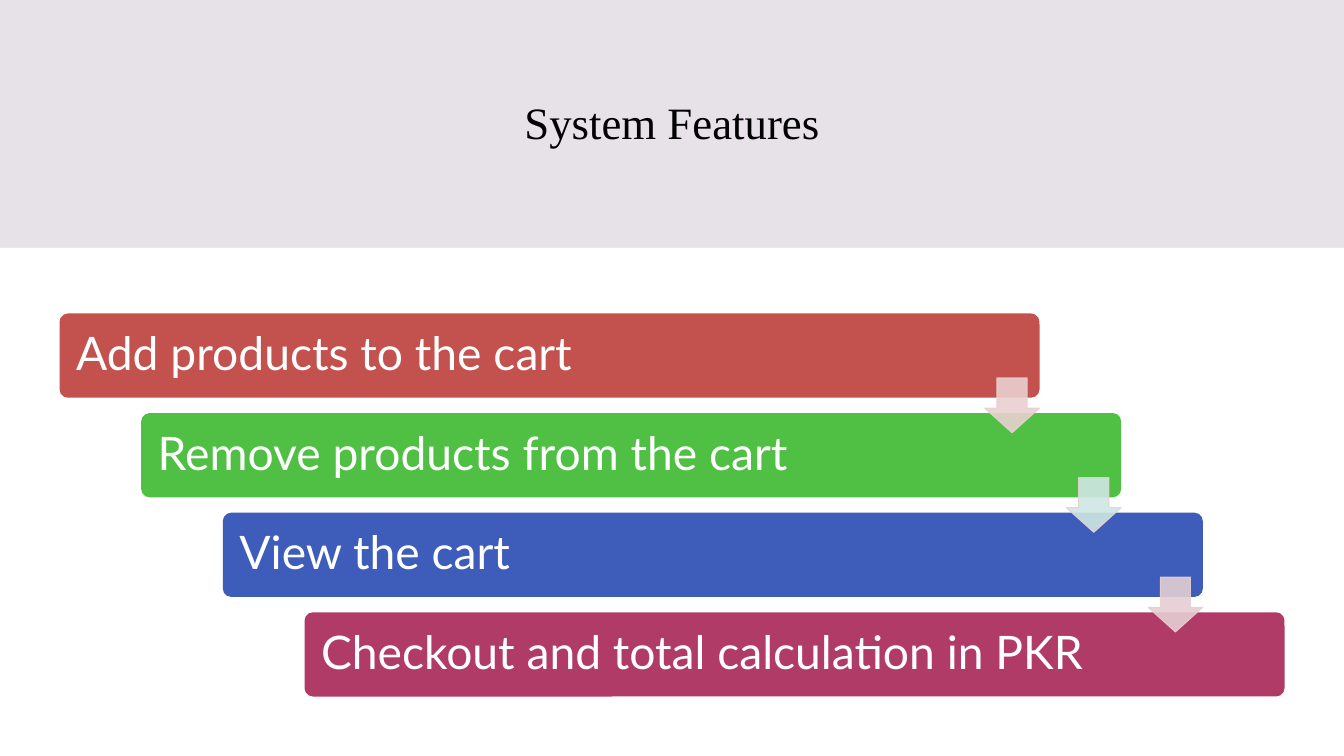
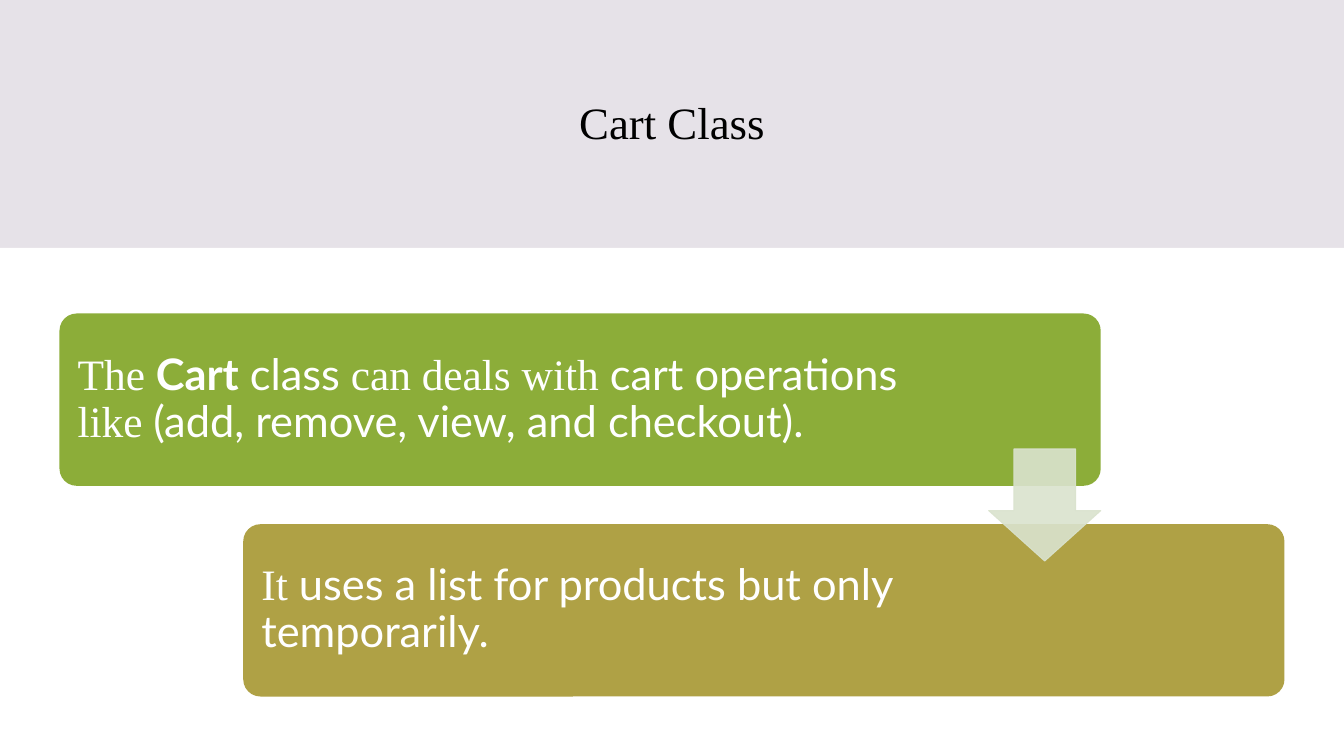
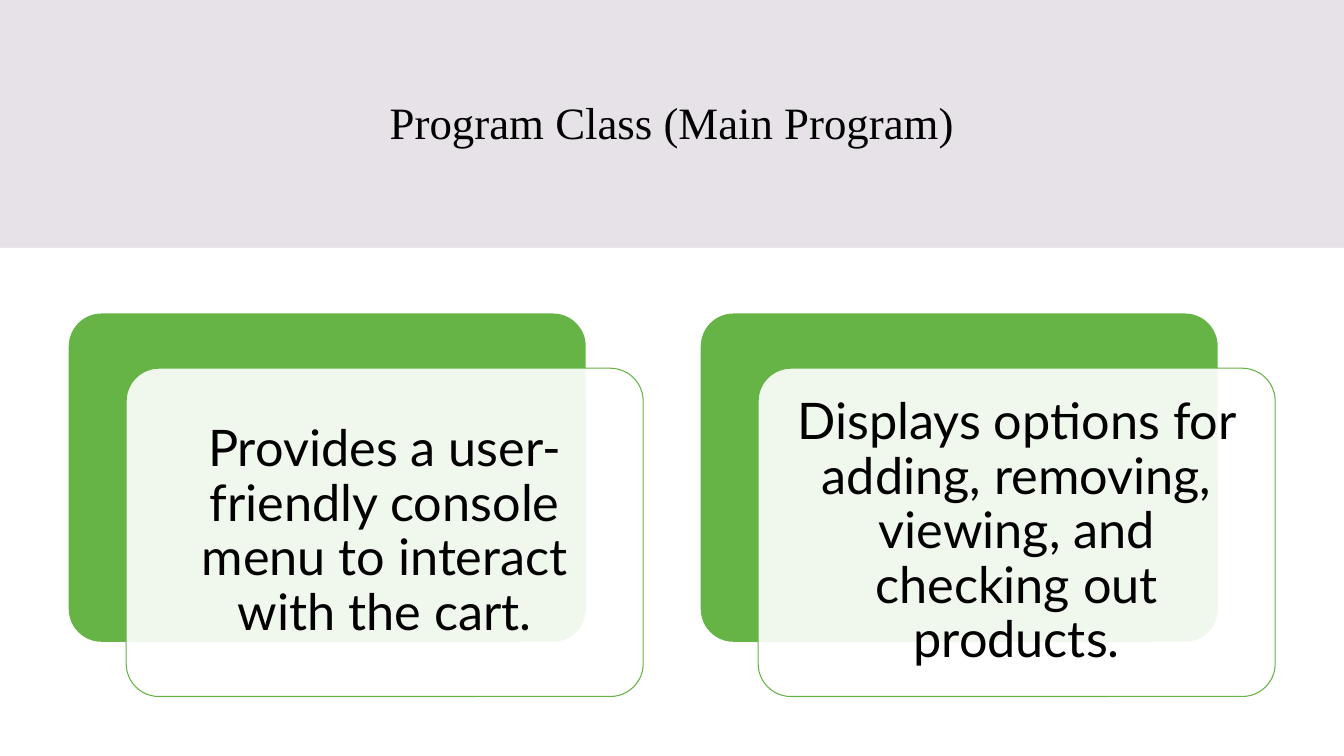
from dataclasses import dataclass

from lxml.etree import SubElement
from pptx import Presentation
from pptx.dml.color import RGBColor
from pptx.enum.shapes import MSO_SHAPE as Preset
from pptx.enum.text import MSO_ANCHOR as Anchor, PP_ALIGN as Align
from pptx.oxml.ns import qn
from pptx.util import Inches, Pt


@dataclass(frozen=True)
class Theme:
    background: str = "E6E2E8"
    panel: str = "FFFFFF"
    dark_text: str = "000000"
    light_text: str = "FFFFFF"
    card: str = "66B346"
    serif: str = "Times New Roman"
    sans: str = "Lato"
    title_size: int = 32
    feature_size: int = 33
    class_size: int = 31
    card_size: int = 36
    line_width: float = 0.75
    line_spacing: float = 0.9
    corner: float = 0.1
    opacity: int = 90


@dataclass(frozen=True)
class Box:
    left: float
    top: float
    width: float
    height: float


@dataclass(frozen=True)
class Step:
    runs: tuple
    fill: str
    text_share: float


THEME = Theme()
SLIDE = Box(0, 0, 13.33, 7.5)
TITLE = Box(1.18, 0.59, 10.97, 1.23)
PANEL = Box(0, 2.46, SLIDE.width, SLIDE.height - 2.46)
DIAGRAM = Box(0.59, 3.11, 12.15, 3.8)


def color(value):
    return RGBColor.from_string(value)


def add_shape(slide, preset, box, fill):
    shape = slide.shapes.add_shape(
        preset, *map(Inches, (box.left, box.top, box.width, box.height)))
    shape.shadow.inherit = False
    shape.fill.solid()
    shape.fill.fore_color.rgb = color(fill)
    shape.line.fill.background()
    return shape


def add_rounded(slide, box, fill):
    shape = add_shape(slide, Preset.ROUNDED_RECTANGLE, box, fill)
    shape.adjustments[0] = THEME.corner
    return shape


def set_outline(shape, line):
    shape.line.color.rgb = color(line)
    shape.line.width = Pt(THEME.line_width)


def make_translucent(shape):
    for tone in shape.element.spPr.iter(qn("a:srgbClr")):
        SubElement(tone, qn("a:alpha")).set("val", str(THEME.opacity * 1000))


def write_text(shape, runs, size, text_color, align, inset, right_inset):
    frame = shape.text_frame
    frame.word_wrap = True
    frame.vertical_anchor = Anchor.MIDDLE
    frame.margin_left = frame.margin_top = frame.margin_bottom = Inches(inset)
    frame.margin_right = Inches(right_inset)
    paragraph = frame.paragraphs[0]
    paragraph.alignment = align
    paragraph.line_spacing = THEME.line_spacing
    paragraph.font.size = Pt(size)
    paragraph.font.color.rgb = color(text_color)
    for text, font, bold in runs:
        run = paragraph.add_run()
        run.text = text
        run.font.name = font
        run.font.bold = bold


def sans(text, bold=False):
    return text, THEME.sans, bold


def serif(text):
    return text, THEME.serif, False


def add_titled_slide(presentation, text):
    slide = presentation.slides.add_slide(presentation.slide_layouts[5])
    title = slide.shapes.title
    title.left, title.top, title.width, title.height = map(
        Inches, (TITLE.left, TITLE.top, TITLE.width, TITLE.height))
    title.text = text
    title.text_frame.vertical_anchor = Anchor.MIDDLE
    paragraph = title.text_frame.paragraphs[0]
    paragraph.alignment = Align.CENTER
    paragraph.font.name = THEME.serif
    paragraph.font.size = Pt(THEME.title_size)
    paragraph.font.color.rgb = color(THEME.dark_text)
    add_shape(slide, Preset.RECTANGLE, PANEL, THEME.panel)
    return slide


def add_staircase(slide, area, steps, arrow_fills, bar_share, size, inset):
    bar_width, bar_height = area.width * bar_share[0], area.height * bar_share[1]
    step_x = (area.width - bar_width) / (len(steps) - 1)
    step_y = (area.height - bar_height) / (len(steps) - 1)
    for index, step in enumerate(steps):
        box = Box(area.left + index * step_x, area.top + index * step_y,
                  bar_width, bar_height)
        bar = add_rounded(slide, box, step.fill)
        write_text(bar, step.runs, size, THEME.light_text, Align.LEFT, inset,
                   inset + bar_width * (1 - step.text_share))

    arrow_size = bar_height * 0.65
    for index, fill in enumerate(arrow_fills):
        right = area.left + index * step_x + bar_width
        middle = area.top + index * step_y + (bar_height + step_y) / 2
        box = Box(right - arrow_size, middle - arrow_size / 2,
                  arrow_size, arrow_size)
        arrow = add_shape(slide, Preset.DOWN_ARROW, box, fill)
        arrow.adjustments[0] = 0.55
        arrow.adjustments[1] = 0.45
        set_outline(arrow, arrow_fills[0])
        make_translucent(arrow)


def add_cards(slide, area, texts):
    column, row = area.width * 0.0469, area.height / 7
    pitch = 11 * column
    start = area.left + (area.width - pitch * len(texts) + column) / 2
    for index, text in enumerate(texts):
        back = Box(start + index * pitch, area.top, 9 * column, 6 * row)
        front = Box(back.left + column, back.top + row, back.width, back.height)
        add_rounded(slide, back, THEME.card)
        card = add_rounded(slide, front, THEME.panel)
        make_translucent(card)
        set_outline(card, THEME.card)
        write_text(card, [sans(text)], THEME.card_size, THEME.dark_text,
                   Align.CENTER, 0.15, 0.15)


def build_features(presentation):
    slide = add_titled_slide(presentation, "System Features")
    steps = [
        Step((sans("Add products to the cart"),), "C3514D", 0.9),
        Step((sans("Remove products from the cart"),), "50C044", 0.86),
        Step((sans("View the cart"),), "3E5CBA", 0.86),
        Step((sans("Checkout and total calculation in PKR"),), "B13B67", 0.86),
    ]
    add_staircase(slide, DIAGRAM, steps, ["E9D0D0", "CFE7E4", "E4CED3"],
                  (0.8, 0.22), THEME.feature_size, 0.14)


def build_cart_class(presentation):
    slide = add_titled_slide(presentation, "Cart Class")
    operations = (
        serif("The "), sans("Cart", True), sans(" class"),
        serif(" can deals with"), sans(" cart operations "),
        serif("like "), sans("(add, remove, view, and checkout)."),
    )
    storage = (
        serif("It"), sans(" uses a list for products but only temporarily."),
    )
    steps = [Step(operations, "8CAD39", 0.84), Step(storage, "AFA145", 0.72)]
    add_staircase(slide, DIAGRAM, steps, ["DAE3CE"],
                  (0.85, 0.45), THEME.class_size, 0.13)


def build_program_class(presentation):
    slide = add_titled_slide(presentation, "Program Class (Main Program)")
    add_cards(slide, DIAGRAM, [
        "Provides a user-friendly console menu to interact with the cart.",
        "Displays options for adding, removing, viewing, and checking out products.",
    ])


def main():
    presentation = Presentation()
    presentation.slide_width = Inches(SLIDE.width)
    presentation.slide_height = Inches(SLIDE.height)
    background = presentation.slide_master.background.fill
    background.solid()
    background.fore_color.rgb = color(THEME.background)
    build_features(presentation)
    build_cart_class(presentation)
    build_program_class(presentation)
    presentation.save("out.pptx")


if __name__ == "__main__":
    main()
